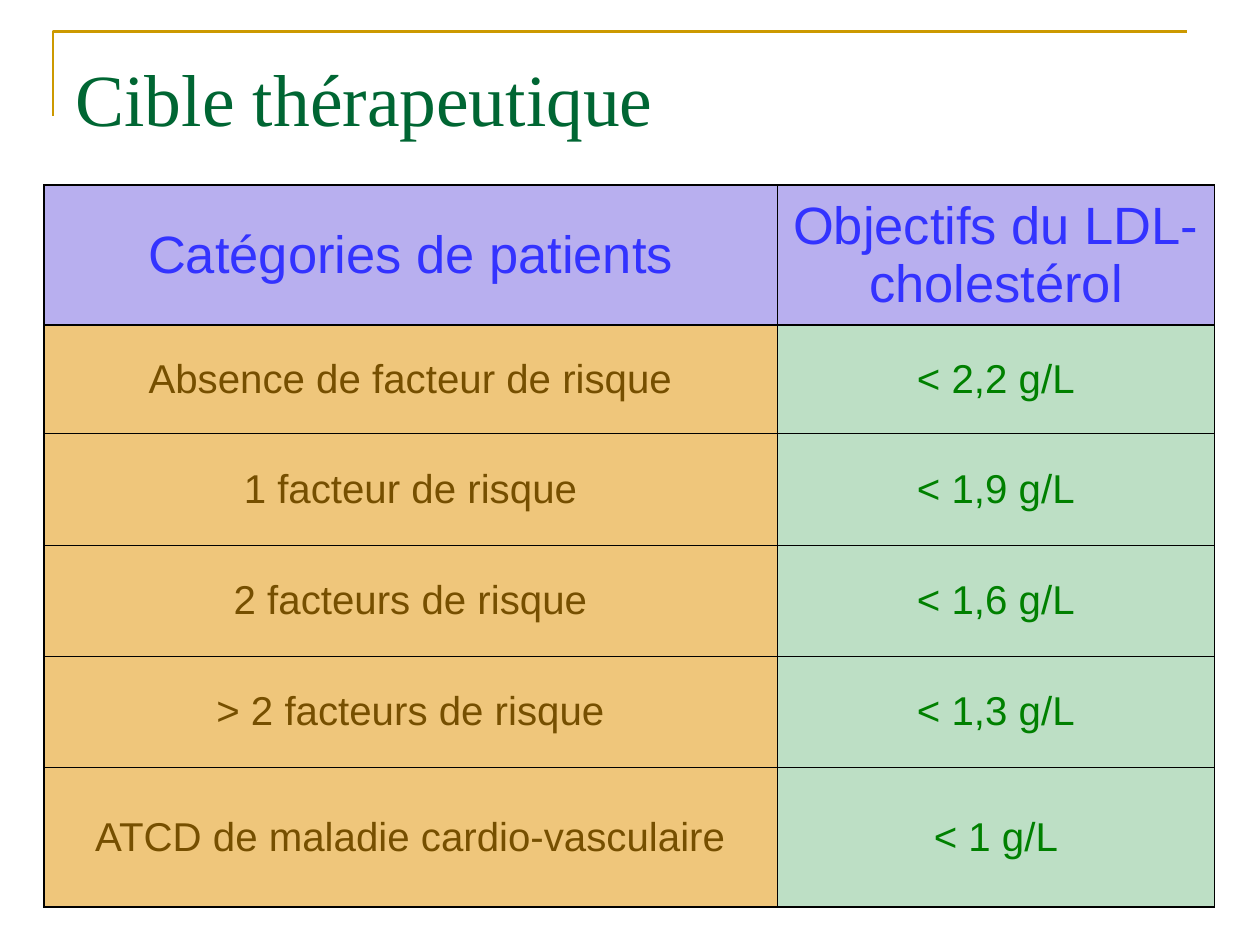
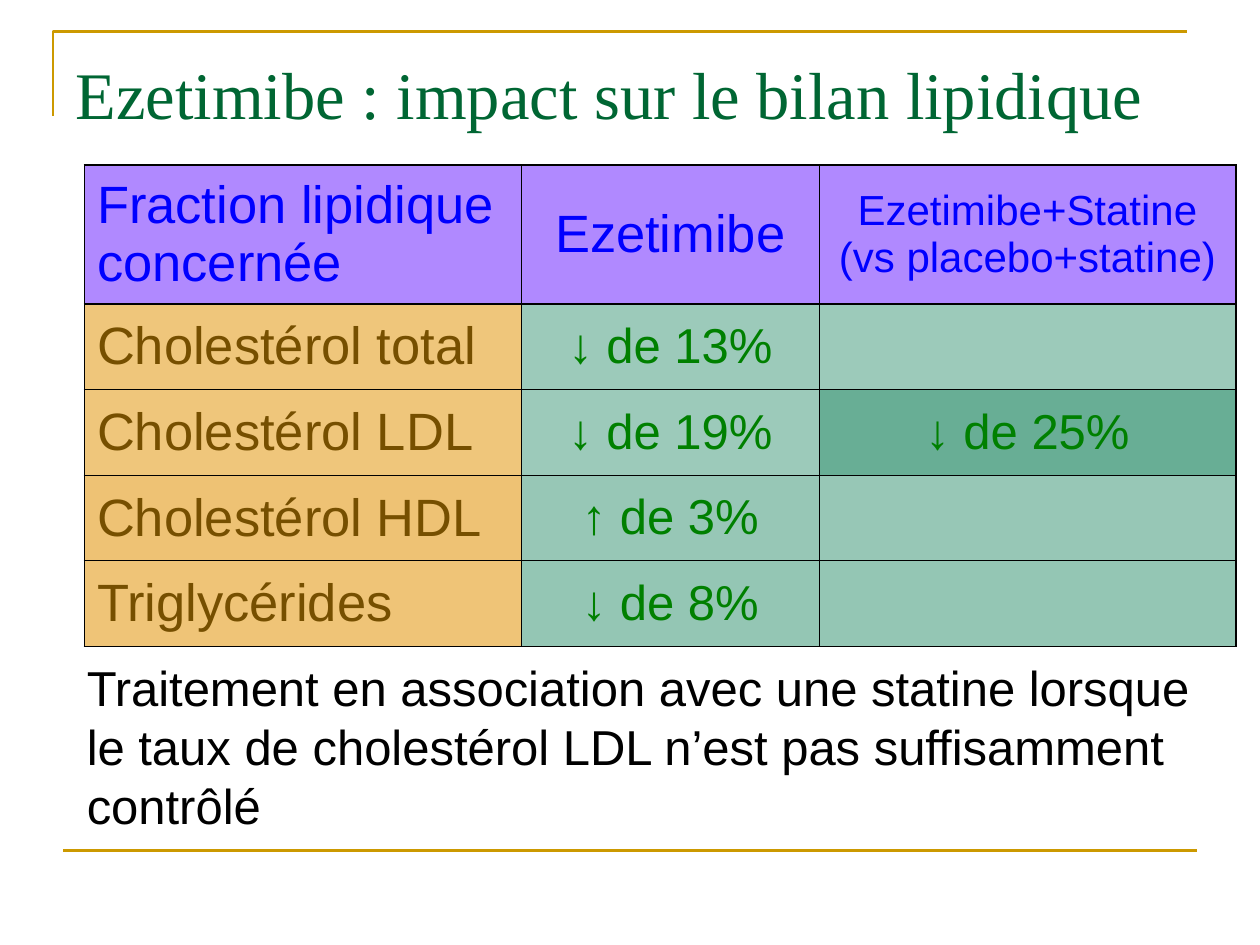
from dataclasses import dataclass, replace
from typing import Optional

from lxml import etree
from pptx import Presentation
from pptx import util as u
from pptx.dml.color import RGBColor
from pptx.enum import shapes, text
from pptx.oxml.ns import qn

WIDE, HIGH = u.Inches(10), u.Inches(7.5)
COLS, ROWS = 100, 75  # the grid that every length is given in


@dataclass(frozen=True)
class Theme:
    head_font: str = "Times New Roman"
    body_font: str = "Arial"
    title: str = "006633"
    gold: str = "CC9900"
    black: str = "000000"
    brown: str = "764F00"
    green: str = "008000"
    orange: str = "EFC67B"
    mint: str = "BDDFC5"
    teal: str = "9CCABA"
    lilac: str = "B8AFEF"
    violet: str = "B089FF"
    large: float = 30
    mid: float = 28
    small: float = 24
    row: float = 23
    rule: float = 1.5
    thick: float = 1.08
    thin: float = 0.45


T = Theme()


@dataclass(frozen=True)
class Box:
    left: float
    top: float
    wide: float
    high: float

    def place(self) -> tuple[int, int, int, int]:
        return across(self.left), down(self.top), across(self.wide), down(self.high)


@dataclass(frozen=True)
class Cell:
    label: str
    ink: str
    fill: str
    size: float
    mid: bool = True


@dataclass(frozen=True)
class Grid:
    left: float
    top: float
    cols: list[float]
    rows: list[float]
    cells: list[list[Cell]]


def across(n: float) -> int:
    return round(WIDE * n / COLS)


def down(n: float) -> int:
    return round(HIGH * n / ROWS)


def write(frame, label: str, *, size: float, ink: str, font: str = T.body_font,
          mid: bool = False) -> None:
    frame.word_wrap = True
    par = frame.paragraphs[0]
    par.alignment = text.PP_ALIGN.CENTER if mid else text.PP_ALIGN.LEFT
    par.space_before = u.Pt(0)
    run = par.add_run()
    run.text = label
    run.font.name = font
    run.font.size = u.Pt(size)
    run.font.color.rgb = RGBColor.from_string(ink)


def stroke(shape) -> None:
    shape.line.color.rgb = RGBColor.from_string(T.gold)
    shape.line.width = u.Pt(T.rule)


def corner(slide) -> None:
    """Draw the gold angle above and left of the title."""
    pen = slide.shapes.build_freeform(across(4.2), down(9.2))
    pen.add_line_segments([(across(4.2), down(2.5)), (across(94.2), down(2.5))],
                          close=False)
    angle = pen.convert_to_shape()
    angle.shadow.inherit = False
    angle.fill.background()
    stroke(angle)


def floor(slide) -> None:
    """Draw the gold rule at the foot."""
    y = down(67.5)
    rule = slide.shapes.add_connector(shapes.MSO_CONNECTOR.STRAIGHT,
                                      across(5), y, across(95), y)
    stroke(rule)
    etree.SubElement(rule._element.spPr, qn("a:effectLst"))


def begin(deck, label: str, size: float):
    """Add a slide with its title and gold angle."""
    slide = deck.slides.add_slide(deck.slide_layouts[5])
    title = slide.shapes.title
    title.left, title.top, title.width, title.height = Box(5, 3, 90, 12.5).place()
    frame = title.text_frame
    frame.auto_size = text.MSO_AUTO_SIZE.NONE
    frame.vertical_anchor = text.MSO_ANCHOR.TOP
    frame.margin_top = down(1.2)
    write(frame, label, size=size, ink=T.title, font=T.head_font)
    corner(slide)
    return slide


def edge(cell, tag: str, width: float) -> None:
    line = etree.SubElement(cell._tc.get_or_add_tcPr(), qn(f"a:{tag}"),
                            w=str(u.Pt(width)))
    fill = etree.SubElement(line, qn("a:solidFill"))
    etree.SubElement(fill, qn("a:srgbClr"), val=T.black)


def table(slide, grid: Grid) -> None:
    tall, broad = len(grid.rows), len(grid.cols)
    box = Box(grid.left, grid.top, sum(grid.cols), sum(grid.rows))
    tab = slide.shapes.add_table(tall, broad, *box.place()).table
    tab.first_row = tab.horz_banding = False
    for col, wide in zip(tab.columns, grid.cols):
        col.width = across(wide)
    for row, high in zip(tab.rows, grid.rows):
        row.height = down(high)
    for r, line in enumerate(grid.cells):
        for c, item in enumerate(line):
            cell = tab.cell(r, c)
            # The outer edge and the rule below the header are heavier.
            heavy = {"lnL": c == 0, "lnR": c == broad - 1,
                     "lnT": r < 2, "lnB": r in (0, tall - 1)}
            for tag, bold in heavy.items():
                edge(cell, tag, T.thick if bold else T.thin)
            cell.fill.solid()
            cell.fill.fore_color.rgb = RGBColor.from_string(item.fill)
            cell.vertical_anchor = text.MSO_ANCHOR.MIDDLE
            if item.label:
                write(cell.text_frame, item.label, size=item.size,
                      ink=item.ink, mid=item.mid)


def target(deck) -> None:
    slide = begin(deck, "Cible thérapeutique", 42)
    head = Cell("Catégories de patients", "3333FF", T.lilac, T.large)
    goals = [
        ("Absence de facteur de risque", "< 2,2 g/L"),
        ("1 facteur de risque", "< 1,9 g/L"),
        ("2 facteurs de risque", "< 1,6 g/L"),
        ("> 2 facteurs de risque", "< 1,3 g/L"),
        ("ATCD de maladie cardio-vasculaire", "< 1 g/L"),
    ]
    cells = [[head, replace(head, label="Objectifs du LDL-cholestérol")]]
    cells += [[Cell(group, T.brown, T.orange, T.row),
               Cell(goal, T.green, T.mint, T.row)] for group, goal in goals]
    table(slide, Grid(3.5, 14.7, [58.2, 34.7],
                      [11.1, 8.6, 8.9, 8.8, 8.8, 11.1], cells))


def impact(deck) -> None:
    slide = begin(deck, "Ezetimibe : impact sur le bilan lipidique", 38)
    floor(slide)
    note = slide.shapes.add_textbox(*Box(5.9, 51.7, 89.8, 15).place())
    write(note.text_frame,
          "Traitement en association avec une statine lorsque le taux de "
          "cholestérol LDL n’est pas suffisamment contrôlé",
          size=T.mid, ink=T.black)

    head = Cell("Ezetimibe", "0000FF", T.violet, T.large)
    cells = [[replace(head, label="Fraction lipidique concernée", mid=False), head,
              replace(head, label="Ezetimibe+Statine (vs placebo+statine)",
                      size=T.small)]]

    def effect(name: str, alone: str, warm: str = T.orange, cool: str = T.teal,
               joint: str = "", dark: Optional[str] = None) -> list[Cell]:
        return [Cell(name, T.brown, warm, T.large, mid=False),
                Cell(alone, T.green, cool, T.mid),
                Cell(joint, T.green, dark or cool, T.mid)]

    cells += [
        effect("Cholestérol total", "↓ de 13%"),
        effect("Cholestérol LDL", "↓ de 19%", joint="↓ de 25%", dark="68AE95"),
        effect("Cholestérol HDL", "↑ de 3%", "EEC274", "97C7B6"),
        effect("Triglycérides", "↓ de 8%", "EFC477", "94C6B4"),
    ]
    table(slide, Grid(6.7, 13.1, [34.7, 23.6, 33.1], [11] + [6.8] * 4, cells))


def main() -> None:
    deck = Presentation()
    deck.slide_width, deck.slide_height = WIDE, HIGH
    target(deck)
    impact(deck)
    deck.save("out.pptx")


if __name__ == "__main__":
    main()
